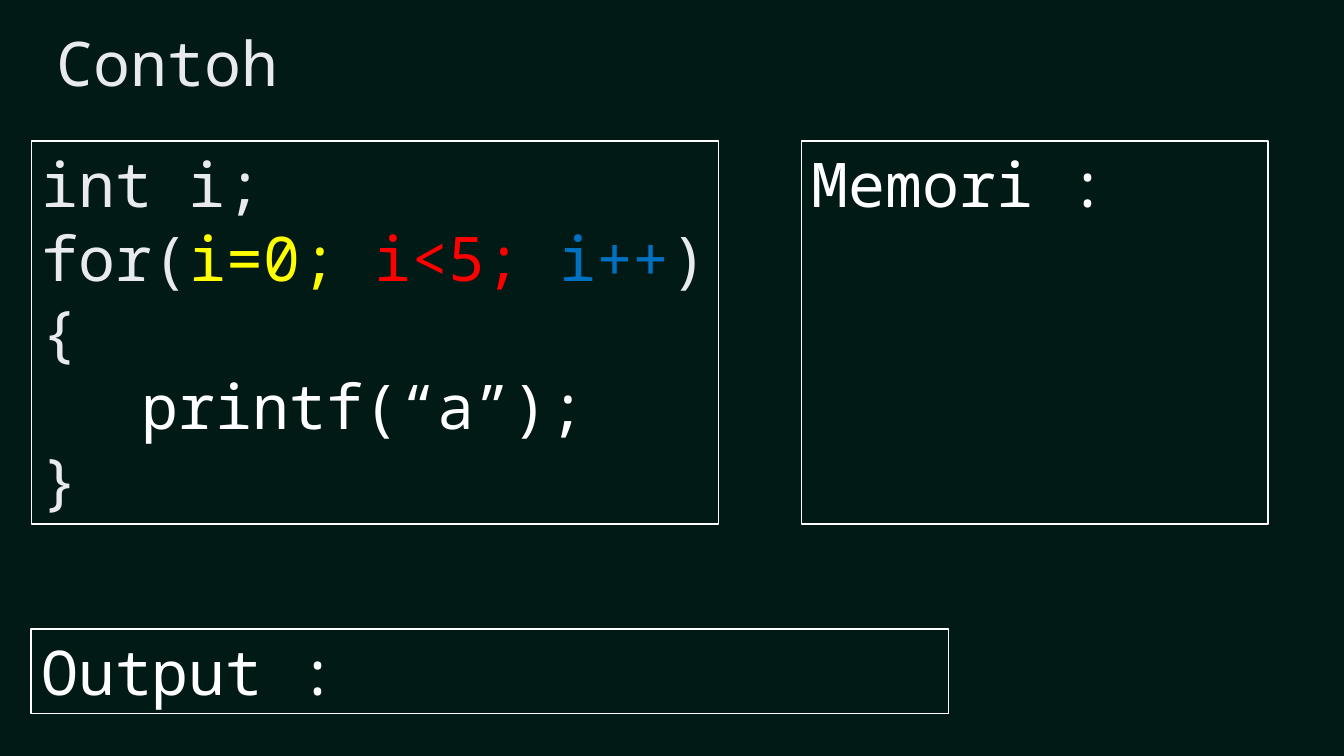
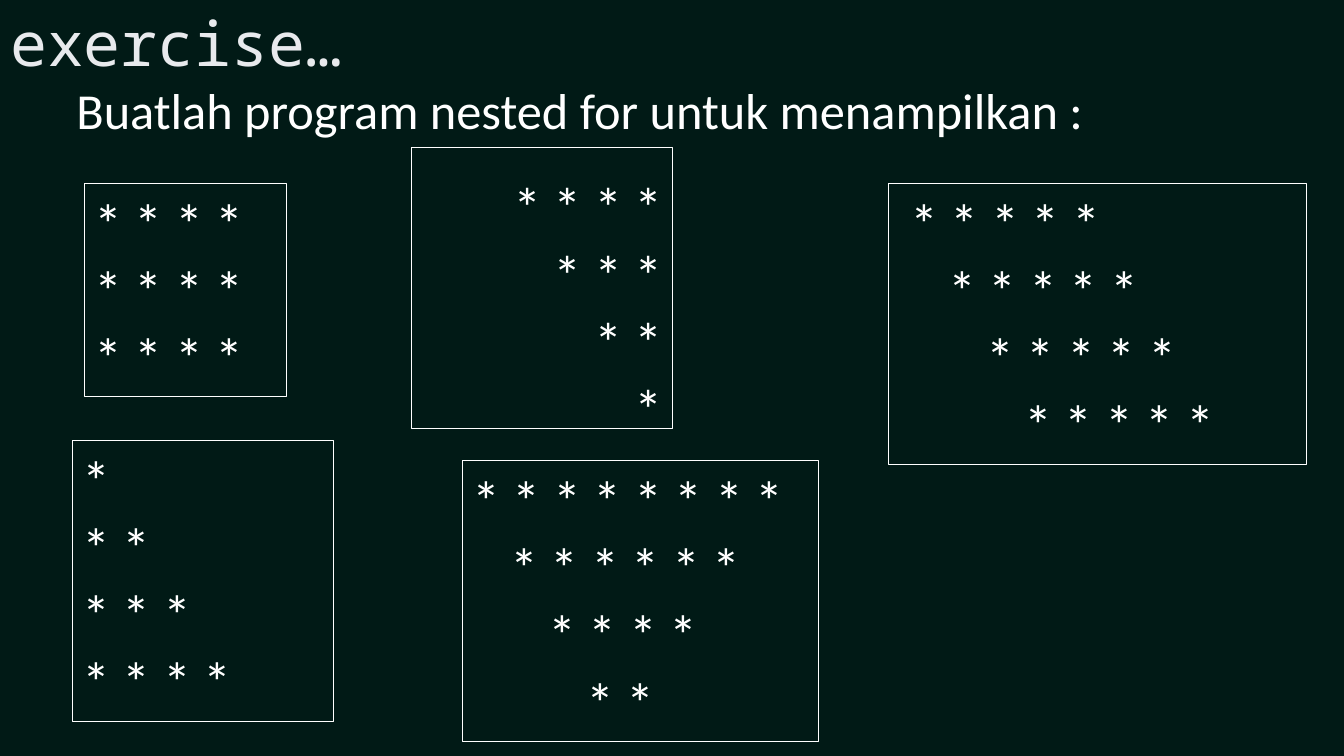
from pptx import Presentation
from pptx.dml.color import RGBColor as RGB
from pptx.enum.shapes import MSO_SHAPE as SHAPE
from pptx.enum.text import MSO_ANCHOR as ANCHOR, MSO_AUTO_SIZE as AUTO, PP_ALIGN as ALIGN
from pptx.util import Pt

COLORS = {"back": "011A16", "soft": "E8EAED", "white": "FFFFFF",
          "start": "FFFF00", "test": "FF0000", "step": "0070C0"}
MONO, SANS = "Noto Sans Mono", "Calibri"

# Content: a line is (indent, [(text, colour), ...])
CODE = [
    (0, [("int i;", "soft")]),
    (0, [("for(", "soft"), ("i=0; ", "start"), ("i<5; ", "test"),
         ("i++", "step"), (")", "soft")]),
    (0, [("{", "soft")]),
    (72, [("printf(“a”);", "white")]),
    (0, [("}", "soft")]),
]
PANELS = [
    ((22.3, 449.3, 655.2, 60.5), [(0, [("Output :", "white")])]),
    ((22.3, 100.8, 491, 273.6), CODE),
    ((572.4, 100.8, 333.4, 273.6), [(0, [("Memori :", "white")])]),
]
TASK = "Buatlah program nested for untuk menampilkan :"

# Star patterns: box, stars in each row, first indent, indent step, turn
STEP = 27.1
STARS = [
    ((51.8, 314.6, 186.5, 200.9), (1, 2, 3, 4), 0, 0, 0),
    ((634.3, 131, 298.8, 200.9), (5, 5, 5, 5), 9, STEP, 0),
    ((293.8, 105.1, 186.5, 200.9), (1, 2, 3, 4), 0, 0, 180),
    ((330.5, 329, 254.2, 200.9), (8, 6, 4, 2), 0, STEP, 0),
    ((60.5, 131, 144, 152.6), (4, 4, 4), 0, 0, 0),
]


def color(name):
    return RGB.from_string(COLORS[name])


def write(shape, lines, font, size):
    """Fill a shape with left-aligned lines from its top."""
    frame = shape.text_frame
    frame.auto_size = AUTO.NONE
    frame.word_wrap = True
    frame.vertical_anchor = ANCHOR.TOP
    for n, (indent, runs) in enumerate(lines):
        para = frame.add_paragraph() if n else frame.paragraphs[0]
        para.alignment = ALIGN.LEFT
        para.font.name, para.font.size = font, Pt(size)
        para._p.get_or_add_pPr().set("marL", str(Pt(indent)))
        for text, tone in runs:
            run = para.add_run()
            run.text = text
            run.font.color.rgb = color(tone)


def panel(slide, box, lines, font, size, width):
    """Add an outlined box with text."""
    shape = slide.shapes.add_shape(SHAPE.RECTANGLE, *map(Pt, box))
    shape.shadow.inherit = False
    shape.fill.background()
    shape.line.color.rgb = color("white")
    shape.line.width = Pt(width)
    write(shape, lines, font, size)
    return shape


def page(deck, text, left, top):
    """Add a slide with its title."""
    slide = deck.slides.add_slide(deck.slide_layouts[5])
    title = slide.shapes.title
    title.left, title.top = Pt(left), Pt(top)
    title.width, title.height = Pt(349.2), Pt(60.5)
    write(title, [(0, [(text, "soft")])], MONO, 44)
    return slide


def main():
    deck = Presentation()
    deck.slide_width, deck.slide_height = Pt(960), Pt(540)
    fill = deck.slide_master.background.fill
    fill.solid()
    fill.fore_color.rgb = color("back")

    # Example
    slide = page(deck, "Contoh", 33.1, 14.4)
    for box, lines in PANELS:
        panel(slide, box, lines, MONO, 44, 1).text_frame.word_wrap = False

    # Exercise
    slide = page(deck, "exercise…", 0, 0)
    task = slide.shapes.add_textbox(Pt(47.5), Pt(53.3), Pt(900), Pt(51.1))
    write(task, [(0, [(TASK, "white")])], SANS, 36)
    for box, counts, first, step, turn in STARS:
        lines = [(first + n * step, [(" ".join("*" * count), "white")])
                 for n, count in enumerate(counts)]
        panel(slide, box, lines, SANS, 40, 0.75).rotation = turn

    deck.save("out.pptx")


if __name__ == "__main__":
    main()
